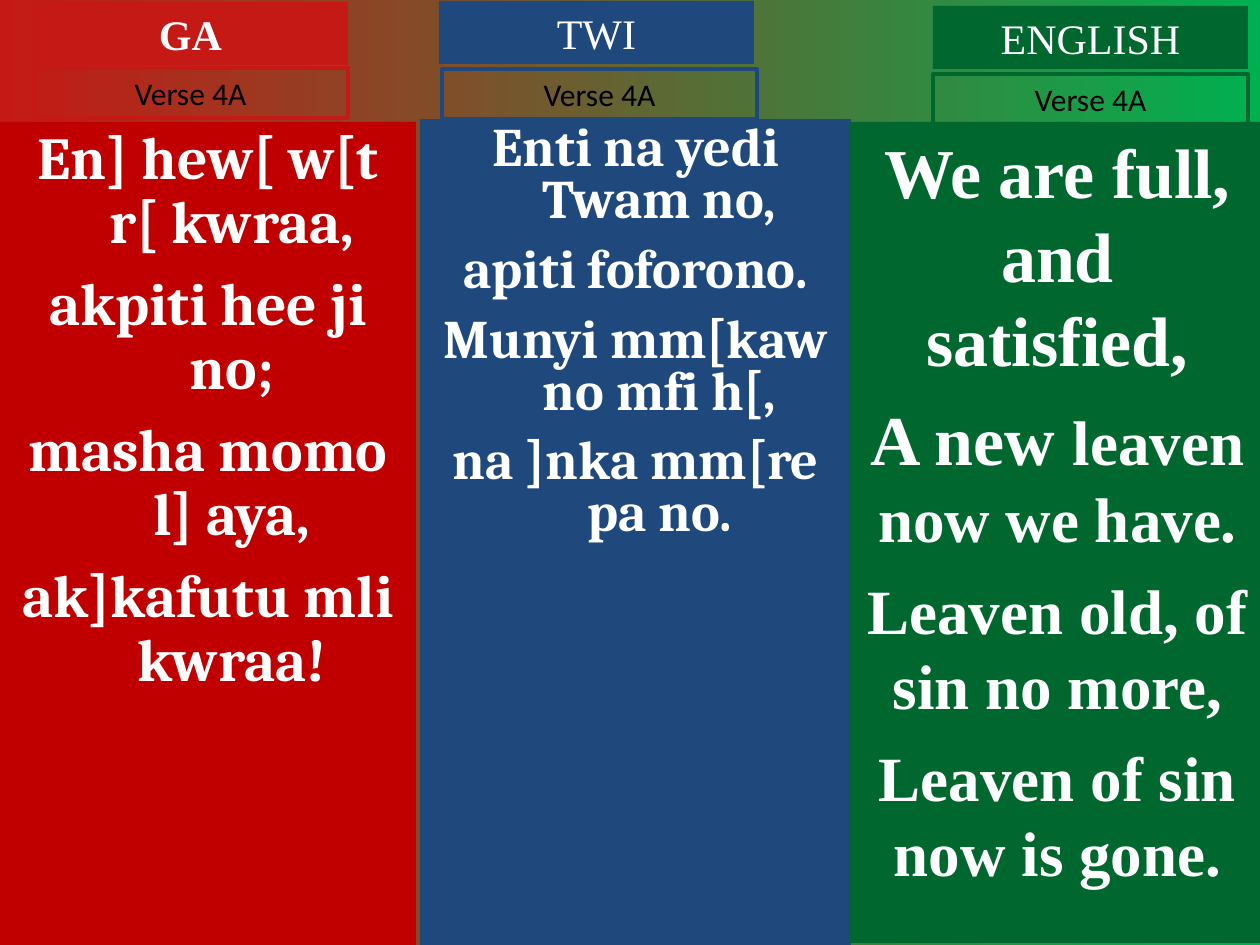
"""Build a hymn verse slide in three languages, one column each."""
from pptx import Presentation
from pptx.dml.color import RGBColor
from pptx.enum.shapes import MSO_SHAPE
from pptx.enum.text import MSO_ANCHOR, PP_ALIGN
from pptx.util import Pt

INK = {"red": "C51915", "deep": "C00000", "blue": "1F497D", "green": "00682F",
       "lime": "00B050", "white": "FFFFFF", "black": "000000"}
SERIF = "Times New Roman"
HANG = 48
VERSE = "Verse 4A"

COLS = [
    {"name": "GA", "bold": True, "tint": "red", "fill": "deep",
     "head": (33, 2, 315, 63), "verse": (33, 68, 315, 50),
     "panel": (0, 122, 416, 823), "font": "Cambria", "hang": HANG,
     "lead": 0.9, "gap": 10,
     "text": [[("En] hew[ w[t r[ kwraa,", 34)],
              [("akpiti hee ji no;", 34)],
              [("masha momo l] aya,", 34)],
              [("ak]kafutu mli kwraa!", 34)]]},
    {"name": "TWI", "bold": False, "tint": "blue", "fill": "blue",
     "head": (439, 1, 315, 63), "verse": (442, 69, 315, 50),
     "panel": (420, 119, 431, 826), "font": "Cambria", "hang": HANG,
     "lead": 0.8, "gap": 10,
     "text": [[("Enti na yedi Twam no,", 31)],
              [("apiti foforono.", 31)],
              [("Munyi mm[kaw no mfi h[,", 31)],
              [("na ]nka mm[re pa no.", 31)]]},
    {"name": "ENGLISH", "bold": False, "tint": "green", "fill": "green",
     "head": (933, 6, 315, 63), "verse": (933, 74, 315, 50),
     "panel": (850, 122, 415, 821), "font": SERIF, "hang": 0,
     "lead": 1.0, "gap": 9,
     "text": [[("We are full, and satisfied,", 40)],
              [("A new ", 40), ("leaven now we have.", 36)],
              [("Leaven old, of sin no more,", 36)],
              [("Leaven of sin now is gone.", 36)]]},
]


def px(n):
    return round(n * 914400 / 126)


def rgb(key):
    return RGBColor.from_string(INK[key])


def add_box(slide, place, fill=None, line=None):
    box = slide.shapes.add_shape(MSO_SHAPE.RECTANGLE, *map(px, place))
    box.shadow.inherit = False
    if fill:
        box.fill.solid()
        box.fill.fore_color.rgb = rgb(fill)
    else:
        box.fill.background()
    if line:
        box.line.color.rgb = rgb(line)
        box.line.width = Pt(2.25)
    else:
        box.line.fill.background()
    box.text_frame.word_wrap = True
    box.text_frame.vertical_anchor = MSO_ANCHOR.TOP
    return box.text_frame


def add_text(para, parts, font, ink, bold):
    para.alignment = PP_ALIGN.CENTER
    for text, size in parts:
        run = para.add_run()
        run.text = text
        run.font.name = font
        run.font.size = Pt(size)
        run.font.bold = bold
        run.font.color.rgb = rgb(ink)


def add_panel(slide, col):
    frame = add_box(slide, col["panel"], fill=col["fill"])
    for i, parts in enumerate(col["text"]):
        para = frame.add_paragraph() if i else frame.paragraphs[0]
        add_text(para, parts, col["font"], "white", True)
        para.line_spacing = col["lead"]
        if i:
            para.space_before = Pt(col["gap"])
        if col["hang"]:
            props = para._p.get_or_add_pPr()
            props.set("marL", str(px(col["hang"])))
            props.set("indent", str(-px(col["hang"])))


def main():
    deck = Presentation()
    deck.slide_width, deck.slide_height = px(1260), px(945)
    slide = deck.slides.add_slide(deck.slide_layouts[6])
    back = slide.background.fill
    back.gradient()
    back.gradient_angle = 0
    for stop, key in zip(back.gradient_stops, ("red", "lime")):
        stop.color.rgb = rgb(key)
    for col in COLS:
        add_panel(slide, col)
        head = add_box(slide, col["head"], fill=col["tint"])
        add_text(head.paragraphs[0], [(col["name"], 24)], SERIF, "white", col["bold"])
        verse = add_box(slide, col["verse"], line=col["tint"])
        add_text(verse.paragraphs[0], [(VERSE, 18)], "Calibri", "black", False)
    deck.save("out.pptx")


if __name__ == "__main__":
    main()
